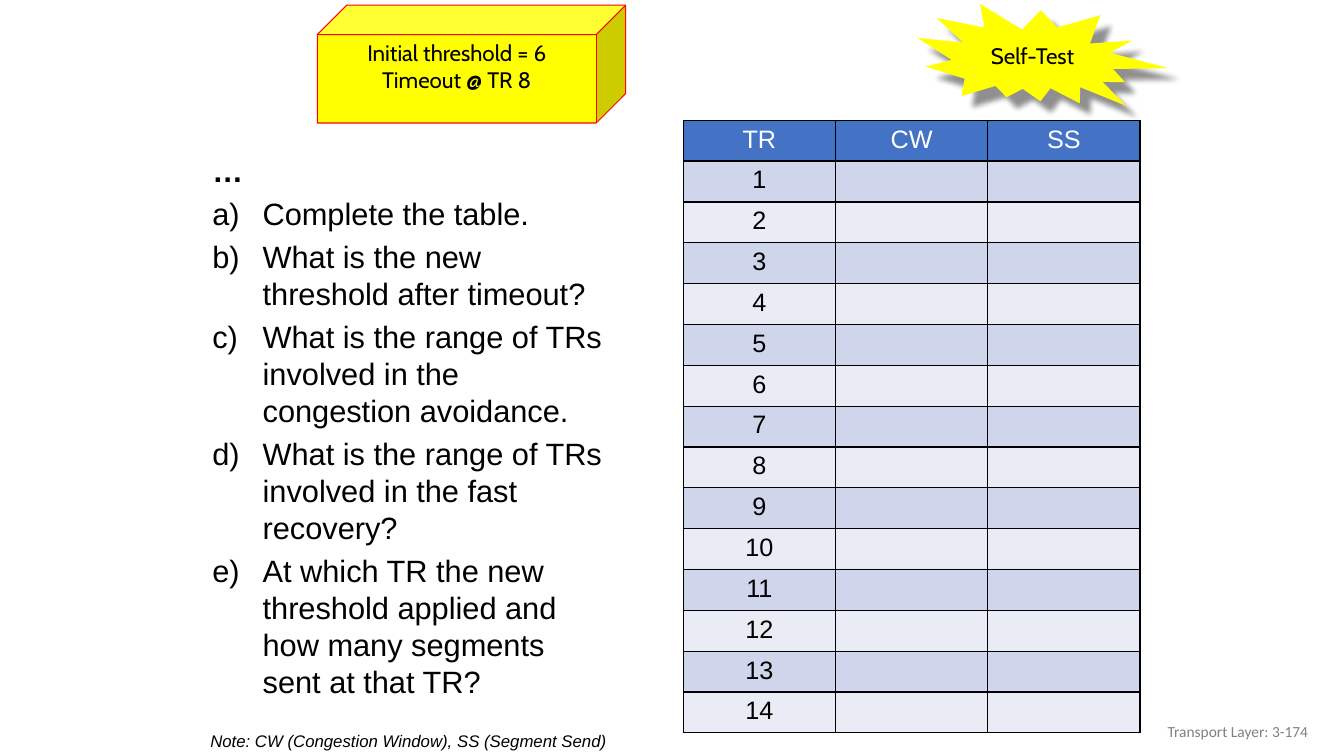
from lxml.etree import SubElement
from pptx import Presentation
from pptx.dml.color import RGBColor
from pptx.enum.shapes import MSO_SHAPE as Shape
from pptx.enum.text import MSO_ANCHOR as Anchor, MSO_AUTO_SIZE as AutoSize, PP_ALIGN as Align
from pptx.oxml import parse_xml
from pptx.oxml.ns import nsdecls, qn
from pptx.util import Cm, Pt

COLORS = {
    "yellow": "FFFF00", "red": "FF0000", "black": "000000", "white": "FFFFFF",
    "gray": "808080", "header": "4472C4", "odd": "CFD5EA", "even": "E9EBF5",
}
QUESTIONS = [
    "Complete the table.",
    "What is the new threshold after timeout?",
    "What is the range of TRs involved in the congestion avoidance.",
    "What is the range of TRs involved in the fast recovery?",
    "At which TR the new threshold applied and how many segments sent at that TR?",
]
HEADINGS = ["TR", "CW", "SS"]
LAST_ROUND = 14


def color(name):
    return RGBColor.from_string(COLORS[name])


def paint(shape, fill):
    shape.shadow.inherit = False
    shape.fill.solid()
    shape.fill.fore_color.rgb = color(fill)


def write(para, text, size, font="Arial", ink="black", bold=False, italic=False):
    run = para.add_run()
    run.text = text
    run.font.name, run.font.size = font, Pt(size)
    run.font.bold, run.font.italic = bold, italic
    run.font.color.rgb = color(ink)


def add_text_frame(shapes, left, top, width, height, wrap=True):
    frame = shapes.add_textbox(left, top, width, height).text_frame
    frame.word_wrap = wrap
    if not wrap:
        frame.auto_size = AutoSize.SHAPE_TO_FIT_TEXT
    return frame


def add_self_test_badge(page, left, top, width, height):
    group = page.shapes.add_group_shape()
    burst = group.shapes.add_shape(Shape.EXPLOSION2, left, top, width, height)
    burst.rotation = 14.3
    paint(burst, "yellow")
    burst.line.fill.background()
    # Soft shadow towards the lower right
    effects = burst._element.spPr.find(qn("a:effectLst"))
    effects.append(parse_xml(
        f'<a:outerShdw {nsdecls("a")} blurRad="{Pt(4)}" dist="{Pt(11)}" dir="2700000" '
        f'algn="ctr" rotWithShape="0"><a:srgbClr val="{COLORS["black"]}">'
        '<a:alpha val="43000"/></a:srgbClr></a:outerShdw>'))
    frame = add_text_frame(group.shapes, left + Cm(1.63), top + Cm(0.89),
                           Cm(2.62), Cm(0.94), wrap=False)
    write(frame.paragraphs[0], "Self-Test", 16, "Cabin")


def add_threshold_cube(page, left, top, width, height):
    cube = page.shapes.add_shape(Shape.CUBE, left, top, width, height)
    cube.adjustments[0] = 0.25
    paint(cube, "yellow")
    cube.line.color.rgb = color("red")
    cube.line.width = Pt(0.75)
    frame = cube.text_frame
    frame.word_wrap = False
    frame.vertical_anchor = Anchor.TOP
    for index, text in enumerate(["Initial threshold = 6", "Timeout @ TR 8"]):
        para = frame.add_paragraph() if index else frame.paragraphs[0]
        para.alignment = Align.CENTER
        write(para, text, 16, "Cabin")


def add_questions(page, left, top, width, height):
    frame = add_text_frame(page.shapes, left, top, width, height)
    lead = frame.paragraphs[0]
    lead.line_spacing = Pt(26.4)
    write(lead, "…", 22, bold=True)
    for question in QUESTIONS:
        para = frame.add_paragraph()
        para.line_spacing = Pt(26.4)
        para.space_before = Pt(4.4)
        properties = para._p.get_or_add_pPr()
        properties.set("marL", str(Cm(1.27)))
        properties.set("indent", str(-Cm(1.27)))
        SubElement(properties, qn("a:buFont"), typeface="Arial")
        SubElement(properties, qn("a:buAutoNum"), type="alphaLcParenR")
        write(para, question, 22)


def set_borders(cell):
    properties = cell._tc.get_or_add_tcPr()
    for position, side in enumerate(["lnL", "lnR", "lnT", "lnB"]):
        properties.insert(position, parse_xml(
            f'<a:{side} {nsdecls("a")} w="{Pt(1)}"><a:solidFill>'
            f'<a:srgbClr val="{COLORS["black"]}"/></a:solidFill></a:{side}>'))


def add_round_table(page, left, top, width, height):
    rows = [HEADINGS] + [[str(number), "", ""] for number in range(1, LAST_ROUND + 1)]
    table = page.shapes.add_table(len(rows), len(HEADINGS), left, top, width, height).table
    for row_index, texts in enumerate(rows):
        fill = "header" if row_index == 0 else "odd" if row_index % 2 else "even"
        for column_index, text in enumerate(texts):
            cell = table.cell(row_index, column_index)
            cell.fill.solid()
            cell.fill.fore_color.rgb = color(fill)
            set_borders(cell)
            para = cell.text_frame.paragraphs[0]
            para.alignment = Align.CENTER
            if text:
                write(para, text, 18, ink="black" if row_index else "white")


def add_note(page, left, top, width, height):
    frame = add_text_frame(page.shapes, left, top, width, height, wrap=False)
    write(frame.paragraphs[0], "Note: CW (Congestion Window), SS (Segment Send)", 12, italic=True)


def add_page_label(page, left, top, width, height):
    frame = add_text_frame(page.shapes, left, top, width, height)
    frame.vertical_anchor = Anchor.MIDDLE
    para = frame.paragraphs[0]
    para.alignment = Align.RIGHT
    write(para, "Transport Layer: 3-174", 11, "Calibri", "gray")


def main():
    deck = Presentation()
    deck.slide_width, deck.slide_height = Cm(33.87), Cm(19.05)
    page = deck.slides.add_slide(deck.slide_layouts[6])
    add_self_test_badge(page, Cm(23.09), Cm(0.05), Cm(6.32), Cm(2.84))
    add_questions(page, Cm(5.1), Cm(3.7), Cm(10.41), Cm(14.55))
    add_round_table(page, Cm(17.22), Cm(3.03), Cm(11.51), Cm(15.44))
    add_note(page, Cm(5.05), Cm(18.29), Cm(10.72), Cm(0.76))
    add_threshold_cube(page, Cm(8), Cm(0.13), Cm(7.77), Cm(2.97))
    add_page_label(page, Cm(25.6), Cm(17.91), Cm(7.62), Cm(1.02))
    deck.save("out.pptx")


if __name__ == "__main__":
    main()
